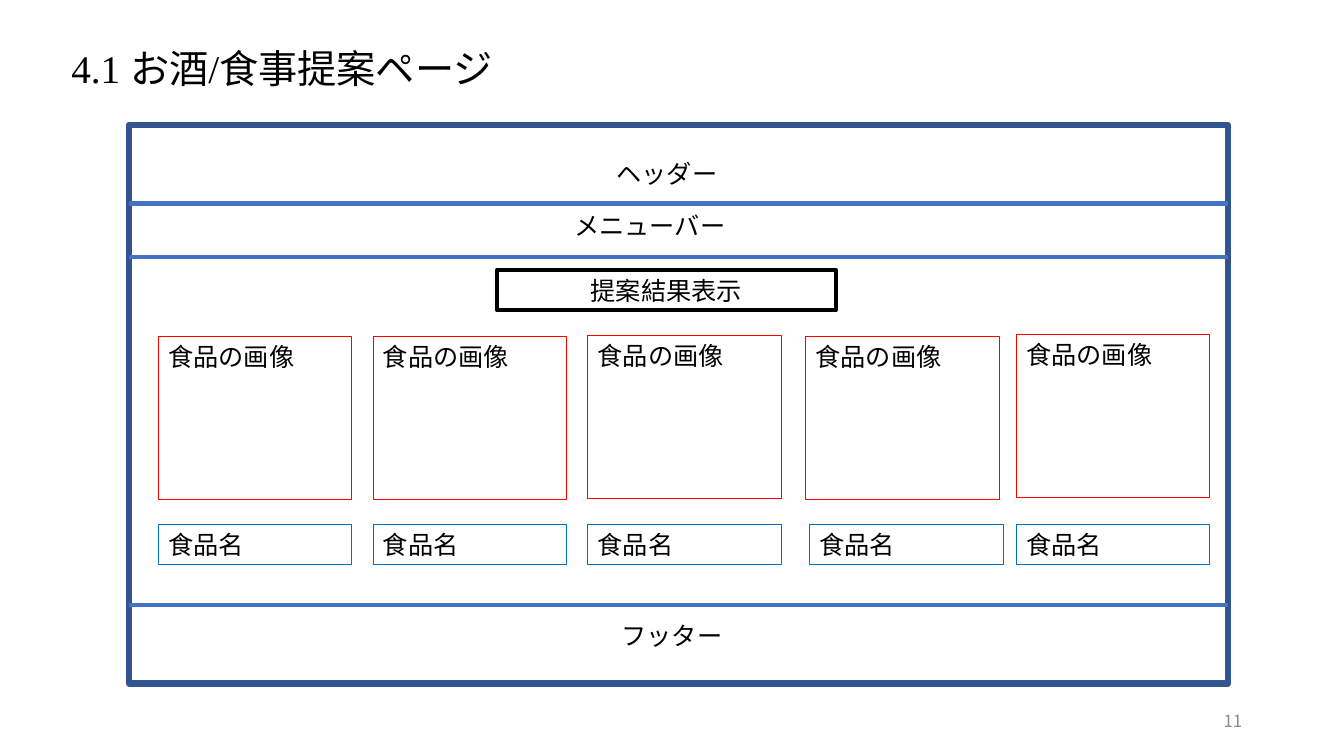
from dataclasses import dataclass
from typing import Optional

from lxml import etree
from pptx import Presentation
from pptx.dml.color import RGBColor
from pptx.enum.shapes import MSO_CONNECTOR, MSO_SHAPE
from pptx.enum.text import MSO_ANCHOR, PP_ALIGN
from pptx.oxml.ns import qn
from pptx.util import Inches, Pt

BLACK = RGBColor(0x00, 0x00, 0x00)
GRAY = RGBColor(0x8C, 0x8C, 0x8C)
NAVY = RGBColor(0x32, 0x54, 0x91)
BLUE = RGBColor(0x44, 0x72, 0xC4)
RED = RGBColor(0xFF, 0x00, 0x00)
NAME_BLUE = RGBColor(0x00, 0x70, 0xC0)
JAPANESE_FONT = "Noto Sans CJK JP"
TITLE_FONT = "Times New Roman"


@dataclass
class Label:
    text: str
    size: float = 18
    font: str = JAPANESE_FONT
    color: RGBColor = BLACK
    align: PP_ALIGN = PP_ALIGN.LEFT
    anchor: MSO_ANCHOR = MSO_ANCHOR.TOP


@dataclass
class Box:
    left: float
    top: float
    width: float
    height: float
    label: Optional[Label] = None
    line: Optional[RGBColor] = None
    line_width: float = 0.75


@dataclass
class FoodCard:
    image_left: float
    image_top: float
    name_left: float


def write_label(frame, label: Label) -> None:
    frame.word_wrap = True
    frame.vertical_anchor = label.anchor
    paragraph = frame.paragraphs[0]
    paragraph.alignment = label.align
    run = paragraph.add_run()
    run.text = label.text
    run.font.size = Pt(label.size)
    run.font.name = label.font
    run.font.color.rgb = label.color
    east_asian = etree.SubElement(run.font._element, qn("a:ea"))
    east_asian.set("typeface", JAPANESE_FONT)


def draw_box(slide, box: Box) -> None:
    place = [Inches(v) for v in (box.left, box.top, box.width, box.height)]
    if box.line is None:
        shape = slide.shapes.add_textbox(*place)
    else:
        shape = slide.shapes.add_shape(MSO_SHAPE.RECTANGLE, *place)
        shape.shadow.inherit = False
        shape.fill.background()
        shape.line.color.rgb = box.line
        shape.line.width = Pt(box.line_width)
    if box.label:
        write_label(shape.text_frame, box.label)


def draw_divider(slide, left: float, right: float, y: float) -> None:
    divider = slide.shapes.add_connector(
        MSO_CONNECTOR.STRAIGHT, Inches(left), Inches(y), Inches(right), Inches(y))
    divider.line.color.rgb = BLUE
    divider.line.width = Pt(3)
    etree.SubElement(divider._element.spPr, qn("a:effectLst"))


prs = Presentation()
prs.slide_width = Inches(13.33)
prs.slide_height = Inches(7.5)
slide = prs.slides.add_slide(prs.slide_layouts[6])

# Page frame and its dividers
frame = Box(1.28, 1.24, 10.9, 5.54, line=NAVY, line_width=4.5)
draw_box(slide, frame)
for divider_y in (2.02, 2.55, 6):
    draw_divider(slide, frame.left, frame.left + frame.width, divider_y)

# Section labels
for text, left, top in (("ヘッダー", 4.53, 1.52),
                        ("メニューバー", 4.36, 2.04),
                        ("フッター", 4.58, 6.1)):
    draw_box(slide, Box(left, top, 4.17, 0.4, Label(text, align=PP_ALIGN.CENTER)))

# Title, page number and result heading
draw_box(slide, Box(0.61, 0.39, 4.74, 0.88,
                    Label("4.1 お酒/食事提案ページ", 28, TITLE_FONT)))
draw_box(slide, Box(9.42, 6.95, 3, 0.4,
                    Label("11", 12, color=GRAY, align=PP_ALIGN.RIGHT,
                          anchor=MSO_ANCHOR.MIDDLE)))
draw_box(slide, Box(4.93, 2.68, 3.36, 0.4,
                    Label("提案結果表示", align=PP_ALIGN.CENTER,
                          anchor=MSO_ANCHOR.MIDDLE), BLACK, 3))

# Food cards: image area above, name below
FOOD_CARDS = (
    FoodCard(1.57, 3.34, 1.57),
    FoodCard(3.7, 3.34, 3.7),
    FoodCard(5.83, 3.33, 5.83),
    FoodCard(7.99, 3.34, 8.03),
    FoodCard(10.08, 3.32, 10.08),
)
CARD_WIDTH = 1.92
for card in FOOD_CARDS:
    draw_box(slide, Box(card.image_left, card.image_top, CARD_WIDTH, 1.62,
                        Label("食品の画像"), RED))
    draw_box(slide, Box(card.name_left, 5.2, CARD_WIDTH, 0.4,
                        Label("食品名"), NAME_BLUE))

prs.save("out.pptx")
